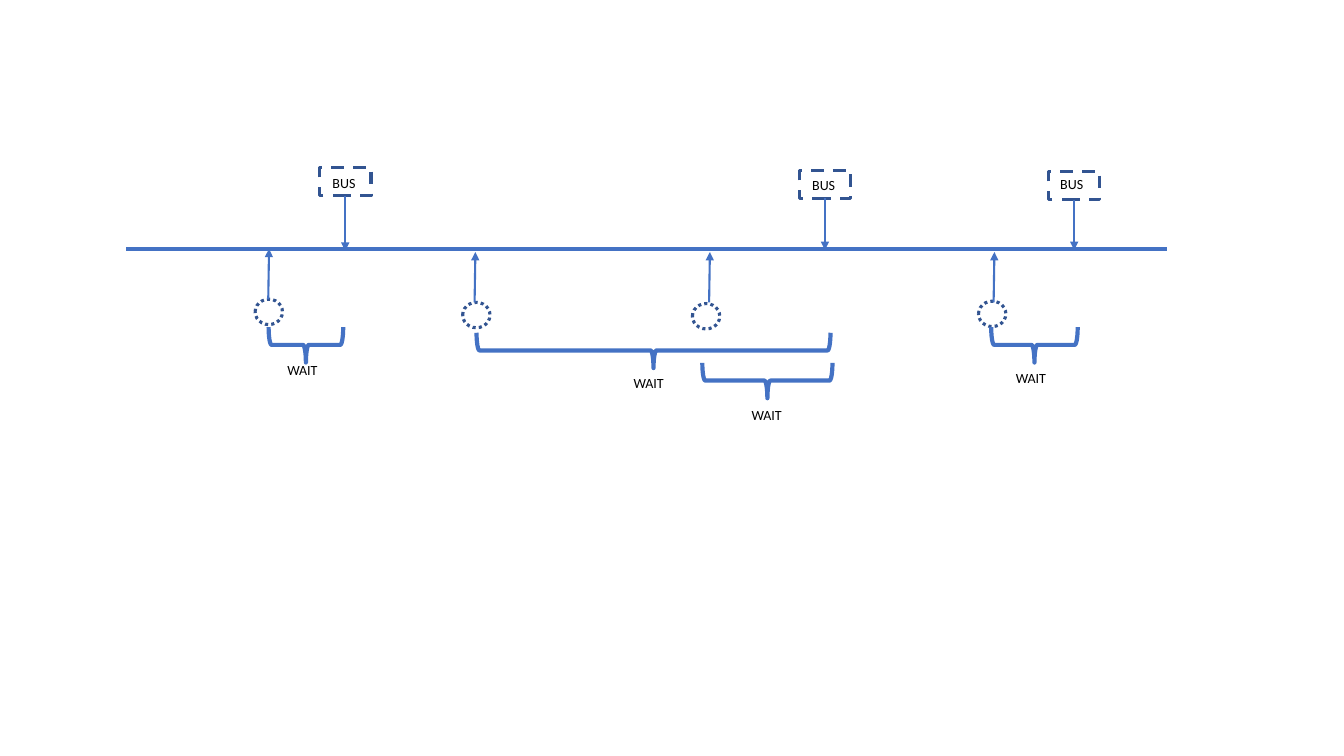
from pptx import Presentation
from pptx.dml.color import RGBColor
from pptx.enum import dml, shapes, text
from pptx.oxml import parse_xml
from pptx.oxml.ns import nsdecls
from pptx.util import Cm, Pt

COLORS = {"blue": "4472C4", "outline": "325491", "label": "000000"}
BUS_W, BUS_H = 1.3, 0.71
PASSENGER_W, PASSENGER_H = 0.69, 0.64
BRACE_DEPTH = 0.89
LABEL_H = 0.69

# left, top of the bus; left, top of its label; arrow tip height
buses = [
    (8.05, 4.22, 8.13, 4.27, 6.32),
    (20.14, 4.29, 20.22, 4.32, 6.3),
    (26.42, 4.32, 26.47, 4.29, 6.3),
]
# left, top of the passenger; arrow start x, tip x, tip y
passengers = [
    (6.43, 7.54, 6.76, 6.78, 6.27),
    (11.66, 7.62, 11.96, 11.98, 6.35),
    (17.45, 7.65, 17.87, 17.89, 6.35),
    (24.66, 7.59, 25.04, 25.06, 6.35),
]
# start, duration, middle height of the brace; left, top of its label
waits = [
    (6.77, 1.88, 8.69, 6.99, 8.99),
    (12.01, 8.92, 8.83, 15.72, 9.32),
    (17.7, 3.28, 9.59, 18.69, 10.13),
    (24.98, 2.18, 8.69, 25.35, 9.19),
]

prs = Presentation()
prs.slide_width, prs.slide_height = Cm(33.87), Cm(19.05)
slide = prs.slides.add_slide(prs.slide_layouts[6])


def add_outline(kind, left, top, width, height, color, weight, dash=None):
    """Add an unfilled preset shape with a coloured outline."""
    shape = slide.shapes.add_shape(kind, Cm(left), Cm(top), Cm(width), Cm(height))
    shape.shadow.inherit = False
    shape.fill.background()
    shape.line.color.rgb = RGBColor.from_string(COLORS[color])
    shape.line.width = Pt(weight)
    if dash:
        shape.line.dash_style = dash
    return shape


def add_line(x1, y1, x2, y2, weight, arrow=True):
    line = slide.shapes.add_connector(
        shapes.MSO_CONNECTOR.STRAIGHT, Cm(x1), Cm(y1), Cm(x2), Cm(y2))
    line.line.color.rgb = RGBColor.from_string(COLORS["blue"])
    line.line.width = Pt(weight)
    if arrow:
        line.line._get_or_add_ln().append(
            parse_xml(f'<a:tailEnd {nsdecls("a")} type="triangle"/>'))
    line._element.spPr.append(parse_xml(f'<a:effectLst {nsdecls("a")}/>'))
    return line


add_line(3.18, 6.27, 29.41, 6.27, 3, arrow=False)

for left, top, _, _, tip_y in buses:
    bus = add_outline(shapes.MSO_SHAPE.RECTANGLE, left, top, BUS_W, BUS_H,
                      "outline", 2.25, dml.MSO_LINE.DASH)
    middle = left + BUS_W / 2
    arrival = add_line(middle, top + BUS_H, middle, tip_y, 1.5)
    arrival.begin_connect(bus, 2)

for left, top, start_x, tip_x, tip_y in passengers:
    add_outline(shapes.MSO_SHAPE.OVAL, left, top, PASSENGER_W, PASSENGER_H,
                "outline", 2.25, dml.MSO_LINE.ROUND_DOT)
    add_line(start_x, tip_y + 1.27, tip_x, tip_y, 1.5)

for start, duration, middle_y, _, _ in waits:
    brace = add_outline(shapes.MSO_SHAPE.LEFT_BRACE,
                        start + (duration - BRACE_DEPTH) / 2, middle_y - duration / 2,
                        BRACE_DEPTH, duration, "blue", 3)
    brace.rotation = 270

labels = [("BUS", bus[2], bus[3], 1.17) for bus in buses]
labels += [("WAIT", wait[3], wait[4], 1.3) for wait in waits]
for wording, left, top, width in labels:
    label = slide.shapes.add_textbox(Cm(left), Cm(top), Cm(width), Cm(LABEL_H))
    frame = label.text_frame
    frame.word_wrap = False
    frame.auto_size = text.MSO_AUTO_SIZE.SHAPE_TO_FIT_TEXT
    run = frame.paragraphs[0].add_run()
    run.text = wording
    run.font.name = "Calibri"
    run.font.size = Pt(10)
    run.font.color.rgb = RGBColor.from_string(COLORS["label"])

prs.save("out.pptx")
